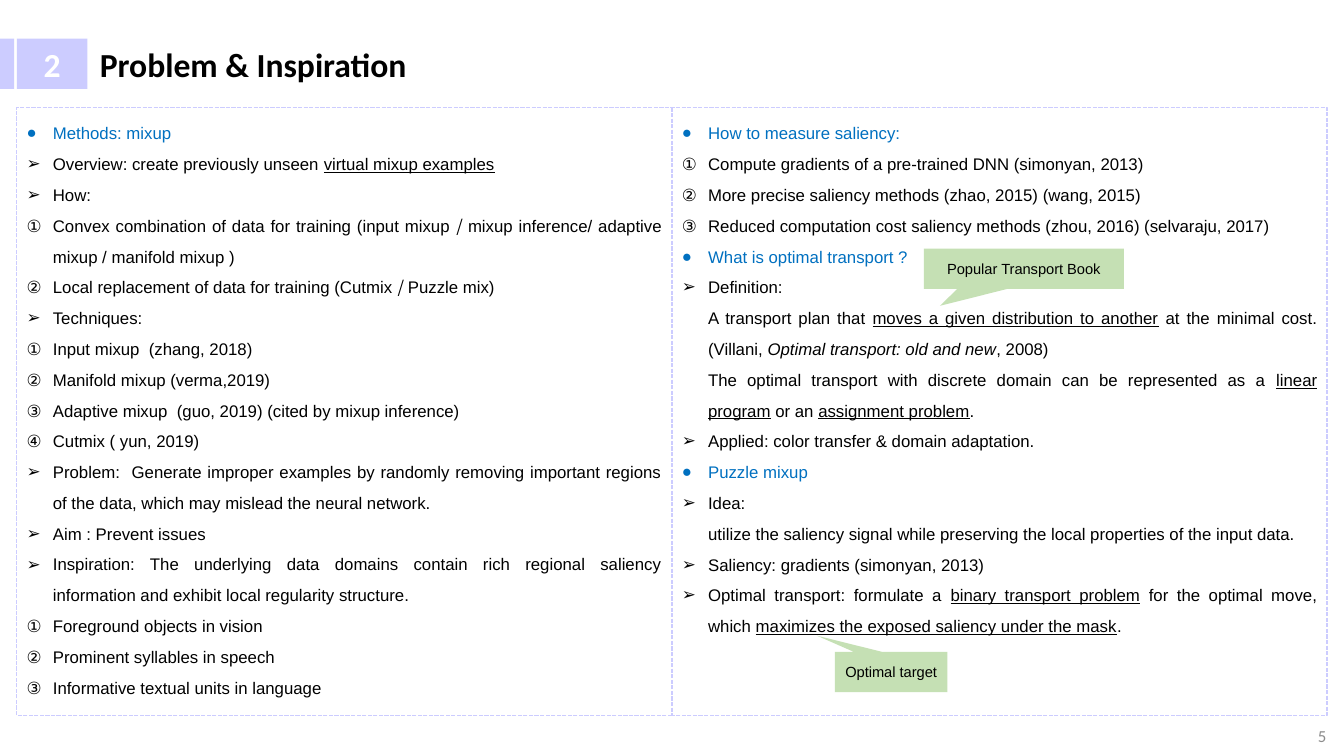
from lxml import etree
from pptx import Presentation, util as u
from pptx.dml.color import RGBColor
from pptx.enum import dml, shapes, text
from pptx.oxml.ns import qn

LILAC, GREEN, BLUE = "CCCCFF", "C5E0B4", "0070C0"
BLACK, WHITE, GREY = "000000", "FFFFFF", "8C8C8C"
ALIGN, ANCHOR, SHAPE = text.PP_ALIGN, text.MSO_ANCHOR, shapes.MSO_SHAPE

# Each line opens with its bullet: ● topic, ➢ point, # circled number, - none.
# Between bars, a span may open with _ (underline), * (italic) or ~ (CJK font).
METHODS = [
    "●Methods: mixup",
    "➢Overview: create previously unseen |_virtual mixup examples",
    "➢How:",
    "#Convex combination of data for training (input mixup |~/ |"
    "mixup inference/ adaptive mixup / manifold mixup )",
    "#Local replacement of data for training (Cutmix |~/ |Puzzle mix)",
    "➢Techniques:",
    "#Input mixup  (zhang, 2018)",
    "#Manifold mixup (verma,2019)",
    "#Adaptive mixup  (guo, 2019) (cited by mixup inference)",
    "#Cutmix ( yun, 2019)",
    "➢Problem:  Generate improper examples by randomly removing important "
    "regions of the data, which may mislead the neural network.",
    "➢Aim : Prevent issues",
    "➢Inspiration: The underlying data domains contain rich regional saliency "
    "information and exhibit local regularity structure.",
    "#Foreground objects in vision",
    "#Prominent syllables in speech",
    "#Informative textual units in language",
]
TRANSPORT = [
    "●How to measure saliency:",
    "#Compute gradients of a pre-trained DNN (simonyan, 2013)",
    "#More precise saliency methods (zhao, 2015) (wang, 2015)",
    "#Reduced computation cost saliency methods (zhou, 2016) (selvaraju, 2017)",
    "●What is optimal transport ?",
    "➢Definition:",
    "-A transport plan that |_moves a given distribution to another| at the "
    "minimal cost. (Villani, |*Optimal transport: old and new|, 2008)",
    "-The optimal transport with discrete domain can be represented as a "
    "|_linear program| or an |_assignment problem|.",
    "➢Applied: color transfer & domain adaptation.",
    "●Puzzle mixup",
    "➢Idea:",
    "-utilize the saliency signal while preserving the local properties of "
    "the input data.",
    "➢Saliency: gradients (simonyan, 2013)",
    "➢Optimal transport: formulate a |_binary transport problem| for the "
    "optimal move, which |_maximizes the exposed saliency under the mask|.",
]
SPAN_MARKS = {"_": {"underline": True}, "*": {"italic": True},
              "~": {"name": "Noto Sans CJK SC"}}


def color(value):
    return RGBColor.from_string(value)


class SlideBuilder:
    """Places elements on a grid of 80 columns by 45 rows."""
    COLUMNS, ROWS = 80, 45
    HEADING = {"name": "Calibri", "size": u.Pt(24), "bold": True}
    FOOTER = {"name": "Calibri", "size": u.Pt(12)}
    BODY = {"name": "Arial", "size": u.Pt(12)}
    LABEL = {"name": "Arial", "size": u.Pt(10.5)}

    def __init__(self, deck):
        self.page = deck.slides.add_slide(deck.slide_layouts[6])
        self.column = deck.slide_width / self.COLUMNS
        self.row = deck.slide_height / self.ROWS

    def place(self, left, top, width, height):
        return (round(left * self.column), round(top * self.row),
                round(width * self.column), round(height * self.row))

    def span(self, para, words, style, ink):
        run = para.add_run()
        run.text = words
        for name, value in style.items():
            setattr(run.font, name, value)
        run.font.color.rgb = color(ink)

    def dash(self, line):
        line.color.rgb = color(LILAC)
        line.width = u.Pt(1)
        line.dash_style = dml.MSO_LINE.SQUARE_DOT

    def label(self, box, words, style, ink, align):
        para = box.text_frame.paragraphs[0]
        para.alignment = align
        self.span(para, words, style, ink)

    def shape(self, kind, area, fill=None):
        box = self.page.shapes.add_shape(kind, *self.place(*area))
        box.shadow.inherit = False
        if fill:
            box.fill.solid()
            box.fill.fore_color.rgb = color(fill)
            box.line.fill.background()
        else:
            box.fill.background()
            self.dash(box.line)
        box.text_frame.vertical_anchor = ANCHOR.MIDDLE
        return box

    def text_box(self, area, anchor=ANCHOR.TOP):
        box = self.page.shapes.add_textbox(*self.place(*area))
        box.text_frame.word_wrap = True
        box.text_frame.vertical_anchor = anchor
        return box

    def callout(self, area, tip, words):
        box = self.shape(SHAPE.RECTANGULAR_CALLOUT, area, GREEN)
        for index, value in enumerate(tip):
            box.adjustments[index] = value
        box.text_frame.word_wrap = False
        self.label(box, words, self.LABEL, BLACK, ALIGN.CENTER)

    def divider(self, column, top, bottom):
        left, start, _, length = self.place(column, top, 0, bottom - top)
        line = self.page.shapes.add_connector(
            shapes.MSO_CONNECTOR.STRAIGHT, left, start, left, start + length)
        self.dash(line.line)
        etree.SubElement(line._element.spPr, qn("a:effectLst"))

    def bullet(self, para, mark):
        props = para._p.get_or_add_pPr()
        indent = u.Inches(0.26)
        props.set("marL", str(indent))
        props.set("indent", str(0 if mark == "-" else -indent))
        if mark == "-":
            etree.SubElement(props, qn("a:buNone"))
        elif mark == "#":
            etree.SubElement(props, qn("a:buAutoNum"), type="circleNumDbPlain")
        else:
            etree.SubElement(props, qn("a:buFont"), typeface="Arial")
            etree.SubElement(props, qn("a:buChar"), char=mark)

    def outline(self, area, lines):
        frame = self.text_box(area).text_frame
        for index, line in enumerate(lines):
            para = frame.add_paragraph() if index else frame.paragraphs[0]
            para.alignment = ALIGN.JUSTIFY
            para.line_spacing = u.Pt(22)
            mark, content = line[0], line[1:]
            self.bullet(para, mark)
            for part in content.split("|"):
                extra = SPAN_MARKS.get(part[0], {})
                self.span(para, part[1:] if extra else part,
                          {**self.BODY, **extra},
                          BLUE if mark == "●" else BLACK)


def main():
    deck = Presentation()
    deck.slide_width, deck.slide_height = u.Inches(13.33), u.Inches(7.5)
    slide = SlideBuilder(deck)

    # Heading with section number
    slide.shape(SHAPE.RECTANGLE, (0, 2.3, 0.85, 3), LILAC)
    section = slide.shape(SHAPE.RECTANGLE, (1, 2.3, 4.2, 3), LILAC)
    slide.label(section, "2", slide.HEADING, WHITE, ALIGN.CENTER)
    title = slide.text_box((5.35, 2.3, 73.65, 3))
    slide.label(title, "Problem & Inspiration", slide.HEADING, BLACK, ALIGN.LEFT)

    # Dashed frame and the two columns
    top, bottom, middle, width = 6.4, 42.6, 40, 39
    slide.shape(SHAPE.RECTANGLE, (1, top, 2 * width, bottom - top))
    slide.outline((1, top, width, 35.5), METHODS)
    slide.divider(middle, top, bottom)
    slide.outline((middle, top, width, 31.85), TRANSPORT)

    # Callouts
    slide.callout((55, 14.8, 11.9, 2.4), (-0.42, 0.92), "Popular Transport Book")
    slide.callout((49.7, 38.8, 6.7, 2.4), (-0.66, -0.9), "Optimal target")

    # Page number
    number = slide.text_box((61.55, bottom, 18, 2.4), ANCHOR.MIDDLE)
    slide.label(number, "5", slide.FOOTER, GREY, ALIGN.RIGHT)

    deck.save("out.pptx")


if __name__ == "__main__":
    main()
